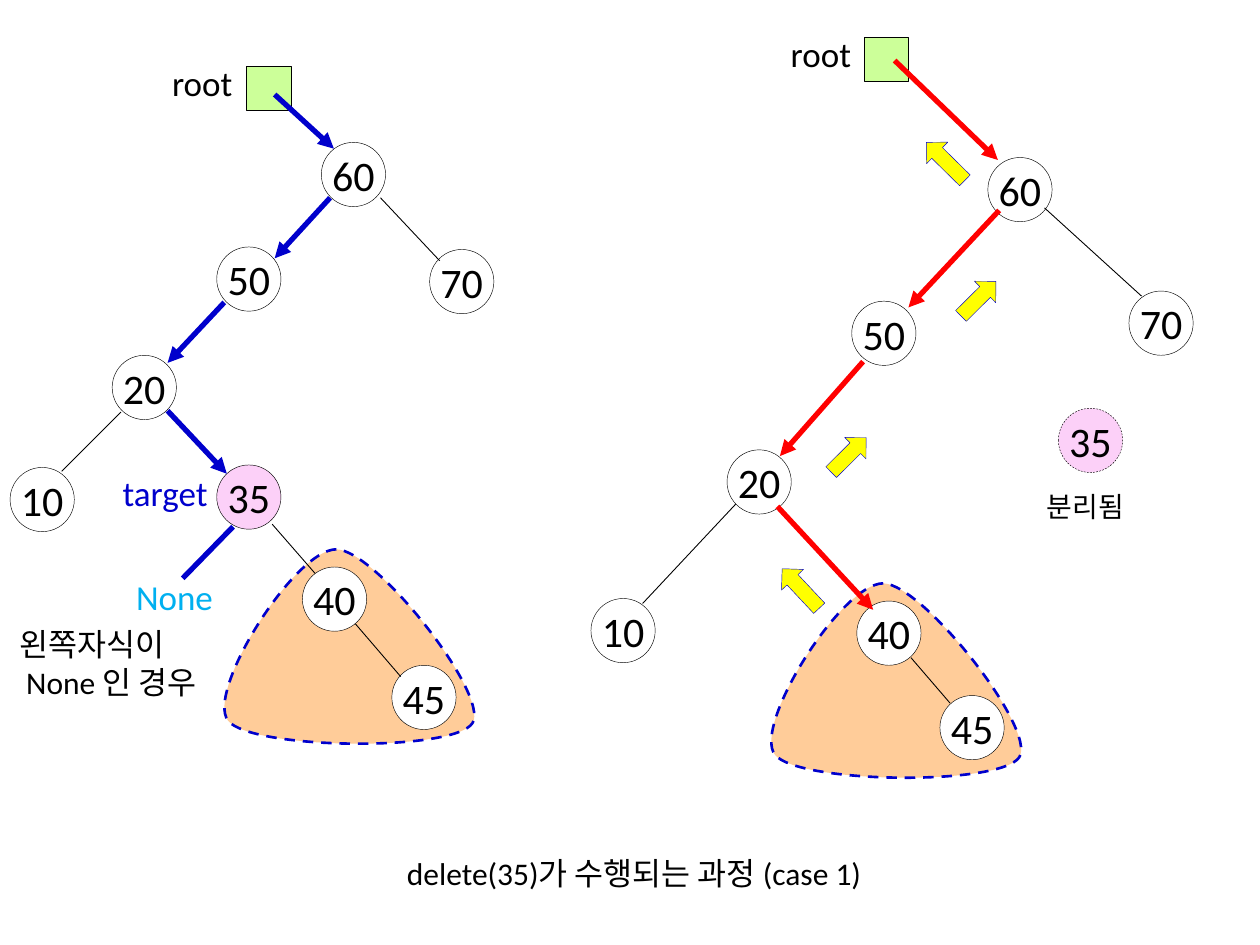
import pptx
import pptx.util
import pptx.dml.color
import pptx.enum.dml
import pptx.enum.shapes
import pptx.enum.text
import pptx.oxml.ns
import lxml.etree


class Theme:
    font = "Calibri"
    ink, white, blue, red, cyan = "000000", "FFFFFF", "0000CC", "FF0000", "00B0F0"
    pink, green, peach, yellow = "FCD0F8", "CCFF99", "FFCC99", "FFFF00"
    key, label, note, small = 24, 20, 18, 16
    hair, thin, dashed, thick = 0.25, 0.5, 1.5, 3


# Slide on a grid of 100 columns by 75 rows
prs = pptx.Presentation()
prs.slide_width = pptx.util.Inches(10)
prs.slide_height = pptx.util.Inches(7.5)
unit = prs.slide_width // 100
s = prs.slides.add_slide(prs.slide_layouts[5])
rgb = pptx.dml.color.RGBColor.from_string
qn = pptx.oxml.ns.qn
dash = pptx.enum.dml.MSO_LINE.DASH
kinds = pptx.enum.shapes.MSO_SHAPE
align = pptx.enum.text.PP_ALIGN


def paint(sp, fill, line, width):
    sp.shadow.inherit = False
    sp.fill.solid()
    sp.fill.fore_color.rgb = rgb(fill)
    sp.line.color.rgb = rgb(line)
    sp.line.width = pptx.util.Pt(width)


def write(tf, lines, size, color, alignment):
    for i, line in enumerate(lines):
        p = tf.add_paragraph() if i else tf.paragraphs[0]
        p.alignment = alignment
        r = p.add_run()
        r.text = line
        r.font.name = Theme.font
        r.font.size = pptx.util.Pt(size)
        r.font.color.rgb = rgb(color)


# Caption
sp = s.shapes.title
sp.left, sp.top, sp.width, sp.height = [int(v * unit) for v in (31.3, 67.3, 42.4, 4)]
tf = sp.text_frame
tf.word_wrap = True
tf.auto_size = pptx.enum.text.MSO_AUTO_SIZE.NONE
tf.vertical_anchor = pptx.enum.text.MSO_ANCHOR.TOP
write(tf, ["delete(35)가 수행되는 과정 (case 1)"], Theme.note, Theme.ink, align.LEFT)

# Subtree regions: a frame that fixes the size, filled by three cubic curves
region_w, region_h = 19.8, 15.4
start = (8.9, 0)
curves = [((5.6, 0), (-1.5, 11.3), (0.3, 13.6)),
          ((2.1, 15.9), (18.2, 16.1), (19.7, 13.8)),
          ((21.1, 11.6), (12.1, 0.1), start)]
for x, y in [(17.8, 43.6), (61.2, 46.3)]:
    builder = s.shapes.build_freeform(x * unit, y * unit, scale=1.0)
    builder.add_line_segments([((x + region_w) * unit, y * unit),
                               ((x + region_w) * unit, (y + region_h) * unit)])
    sp = builder.convert_to_shape()
    paint(sp, Theme.peach, Theme.blue, Theme.dashed)
    sp.line.dash_style = dash
    outline = next(sp._element.iter(qn("a:path")))
    for step in list(outline):
        outline.remove(step)
    for tag, points in [("a:moveTo", [start])] + [("a:cubicBezTo", c) for c in curves]:
        step = lxml.etree.SubElement(outline, qn(tag))
        for px, py in points:
            lxml.etree.SubElement(step, qn("a:pt"), x=str(int(px * unit)), y=str(int(py * unit)))
    lxml.etree.SubElement(outline, qn("a:close"))

# Root variables
for x, y in [(19.6, 5.3), (68.6, 3)]:
    sp = s.shapes.add_shape(kinds.RECTANGLE, *[int(v * unit) for v in (x, y, 3.5, 3.5)])
    paint(sp, Theme.green, Theme.ink, Theme.thin)

# Tree nodes: key, left, top
size = 5.1
nodes = [
    # before the deletion
    ("60", 25.5, 11.3), ("50", 17.2, 19.6), ("70", 34.1, 19.8), ("20", 8.9, 28.2),
    ("10", 0.8, 37.1), ("35", 17.2, 36.9), ("40", 24, 45), ("45", 31.1, 52.8),
    # after the deletion
    ("60", 78.4, 12.5), ("50", 67.6, 23.9), ("70", 89.6, 23.1), ("20", 57.7, 35.7),
    ("10", 46.9, 47.5), ("40", 68, 47.7), ("45", 74.6, 55.2), ("35", 84, 32.4),
]
for key, x, y in nodes:
    sp = s.shapes.add_shape(kinds.OVAL, *[int(v * unit) for v in (x, y, size, size)])
    paint(sp, Theme.pink if key == "35" else Theme.white, Theme.ink, Theme.hair)
    tf = sp.text_frame
    tf.margin_left = tf.margin_right = tf.margin_top = tf.margin_bottom = 0
    tf.word_wrap = False
    tf.vertical_anchor = pptx.enum.text.MSO_ANCHOR.MIDDLE
    write(tf, [key], Theme.key, Theme.ink, align.CENTER)
sp.line.dash_style = dash  # the last node is the detached one

# Edges by style: colour, width, arrowhead, (x1, y1, x2, y2)
edges = [
    (Theme.ink, Theme.thin, False, [
        (30.2, 15.7, 34.9, 20.7), (9.6, 32.7, 4.9, 37.4), (25, 45.5, 21.6, 41.6),
        (28.2, 49.5, 31.8, 53.7), (82.9, 16.5, 90.6, 23.5), (58.4, 40, 51, 47.9),
        (72.3, 52.2, 75.4, 55.8)]),
    (Theme.blue, Theme.thick, True, [
        (21.8, 7.5, 26.5, 11.8), (26.2, 15.7, 21.8, 20.5),
        (17.8, 24, 13.3, 28.8), (13.3, 32.6, 18, 37.6)]),
    (Theme.blue, Theme.thick, False, [(18.5, 41.8, 14.5, 45.9)]),
    (Theme.red, Theme.thick, True, [
        (71, 4.8, 79.2, 12.7), (79.3, 16.7, 72.1, 24.4),
        (68.5, 28.7, 61.9, 36.2), (61.7, 40.2, 69.3, 48.4)]),
]
for color, width, arrow, ends in edges:
    for end in ends:
        c = s.shapes.add_connector(pptx.enum.shapes.MSO_CONNECTOR.STRAIGHT,
                                   *[int(v * unit) for v in end])
        c.line.color.rgb = rgb(color)
        c.line.width = pptx.util.Pt(width)
        if arrow:
            lxml.etree.SubElement(c.line._get_or_add_ln(), qn("a:tailEnd"), type="triangle")
        lxml.etree.SubElement(c._element.spPr, qn("a:effectLst"))

# Return arrows: left, top, width, rotation
for x, y, w, angle in [(65.4, 34.9, 3.9, 315.2), (75.7, 22.5, 3.9, 315.2),
                       (72.9, 11.6, 4.3, 224.6), (61.4, 45.5, 4.3, 226.8)]:
    sp = s.shapes.add_shape(kinds.RIGHT_ARROW, *[int(v * unit) for v in (x, y, w, 2.4)])
    sp.rotation = angle
    paint(sp, Theme.yellow, Theme.blue, Theme.hair)

# Labels: lines, left, top, width, height, size, colour, alignment
labels = [
    (["root"], 12.1, 4.4, 7.9, 4.4, Theme.label, Theme.ink, align.CENTER),
    (["root"], 61.2, 2.1, 7.9, 4.4, Theme.label, Theme.ink, align.CENTER),
    (["target"], 7.9, 36.9, 10.4, 4.4, Theme.label, Theme.blue, align.CENTER),
    (["None"], 9.3, 45.2, 9.1, 4.4, Theme.label, Theme.cyan, align.CENTER),
    (["왼쪽자식이", "None 인 경우"], 0.6, 49.1, 16.8, 7.1, Theme.note, Theme.ink, align.LEFT),
    (["분리됨"], 78.9, 38.4, 14.5, 3.7, Theme.small, Theme.ink, align.CENTER),
]
for lines, x, y, w, h, pt, color, alignment in labels:
    tf = s.shapes.add_textbox(*[int(v * unit) for v in (x, y, w, h)]).text_frame
    tf.word_wrap = True
    write(tf, lines, pt, color, alignment)
    for p in tf.paragraphs[1:]:
        p._p.get_or_add_pPr().set("marL", str(unit // 2))

prs.save("out.pptx")
